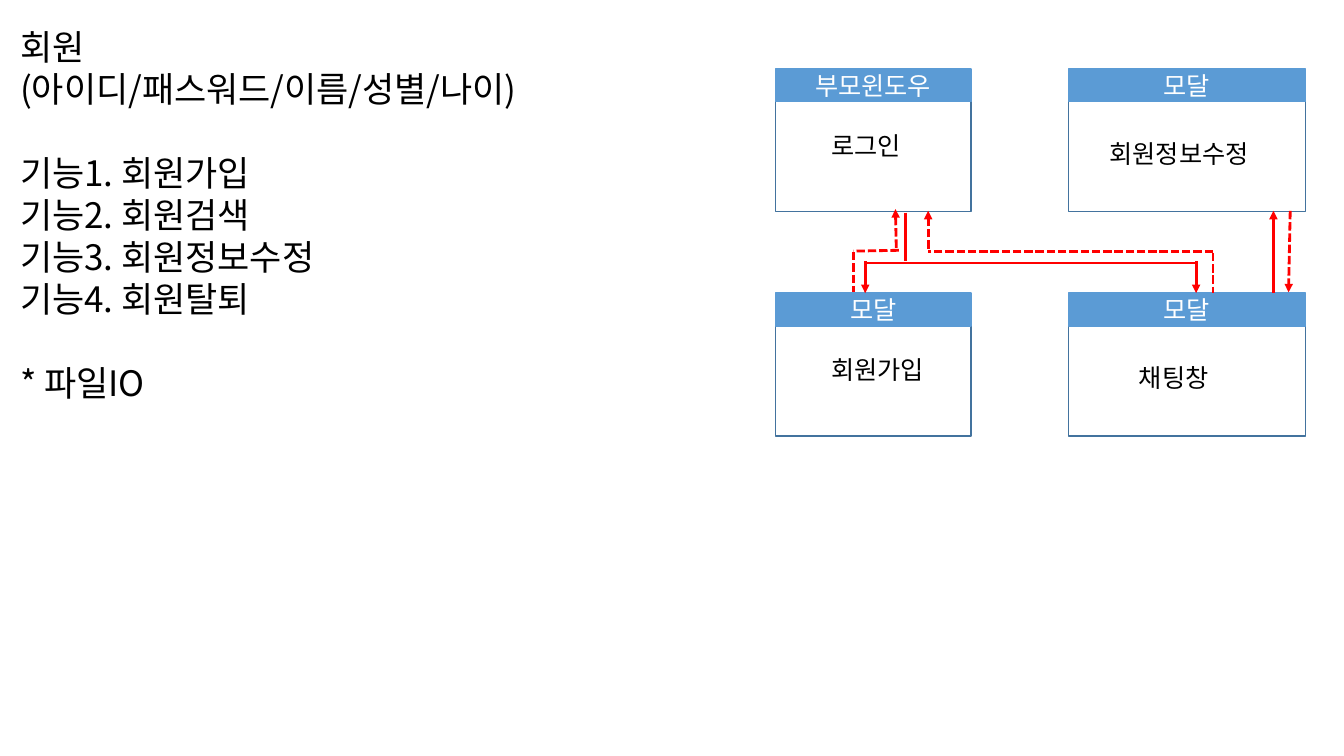
import dataclasses
import typing

import lxml.etree
import pptx
import pptx.dml.color
import pptx.enum.dml
import pptx.enum.shapes
import pptx.enum.text
import pptx.oxml.ns
import pptx.util

Point = tuple[float, float]
COLS, ROWS = 160, 90
HEAD, BODY = 3.9, 13.1
TOP, LOW = 8.2, 34.9


@dataclasses.dataclass(frozen=True)
class Theme:
    font: str = "Noto Sans CJK KR"
    ink: str = "000000"
    pale: str = "FFFFFF"
    head: str = "5B9BD5"
    edge: str = "43739E"
    flow: str = "FF0000"
    large: float = 25
    small: float = 18
    pitch: float = 1.2
    thin: float = 1
    thick: float = 2


@dataclasses.dataclass(frozen=True)
class Window:
    left: float
    top: float
    width: float
    title: str
    label: str
    shift: Point
    span: float


@dataclasses.dataclass(frozen=True)
class Flow:
    start: Point
    end: Point
    dash: bool = False
    arrow: bool = False


THEME = Theme()

LINES = [
    ("회원\v(아이디/패스워드/이름/성별/나이)", 0),
    ("기능1. 회원가입", 1),
    ("기능2. 회원검색", 0),
    ("기능3. 회원정보수정", 0),
    ("기능4. 회원탈퇴", 0),
    ("* 파일IO", 1),
]

WINDOWS = [
    Window(92.3, TOP, 23.3, "부모윈도우", "로그인", (5.5, 2.8), 11.5),
    Window(92.3, LOW, 23.3, "모달", "회원가입", (5.5, 2.8), 14.5),
    Window(127.2, TOP, 28.2, "모달", "회원정보수정", (3.7, 3.8), 20.6),
    Window(127.2, LOW, 28.2, "모달", "채팅창", (7.2, 3.8), 11.5),
]

FLOWS = [
    Flow((103, 31.1), (103, LOW), arrow=True),
    Flow((142.4, 31.3), (103, 31.3)),
    Flow((142.4, 31.1), (142.4, LOW), arrow=True),
    Flow((107.8, 25.3), (107.8, 31.1)),
    Flow((106.7, 29.5), (106.6, 24.9), dash=True, arrow=True),
    Flow((107, 29.8), (101.6, 29.9), dash=True),
    Flow((101.6, 30), (101.6, 34.8), dash=True),
    Flow((144.4, 30.1), (144.4, LOW), dash=True),
    Flow((144.4, 29.9), (110.5, 29.9), dash=True),
    Flow((110.5, 29.6), (110.5, 25.1), dash=True, arrow=True),
    Flow((151.6, LOW), (151.6, 25.1), arrow=True),
    Flow((153.6, 25.1), (153.4, 34.8), dash=True, arrow=True),
]

deck = pptx.Presentation()
deck.slide_width = pptx.util.Inches(13.33)
deck.slide_height = pptx.util.Inches(7.5)


def col(count: float) -> int:
    return round(deck.slide_width * count / COLS)


def row(count: float) -> int:
    return round(deck.slide_height * count / ROWS)


def hue(code: str) -> pptx.dml.color.RGBColor:
    return pptx.dml.color.RGBColor.from_string(code)


def add(node: typing.Any, tag: str, **attrs: str) -> None:
    lxml.etree.SubElement(node, pptx.oxml.ns.qn(tag), attrs)


def write(frame: typing.Any, lines: list[tuple[str, int]], *, size: float,
          color: str, center: bool = False, middle: bool = False,
          wrap: bool = False) -> None:
    align = pptx.enum.text.PP_ALIGN
    anchor = pptx.enum.text.MSO_ANCHOR
    frame.auto_size = pptx.enum.text.MSO_AUTO_SIZE.NONE
    frame.word_wrap = wrap
    frame.vertical_anchor = anchor.MIDDLE if middle else anchor.TOP
    pitch = size * THEME.pitch
    for index, (text, gap) in enumerate(lines):
        para = frame.paragraphs[0] if index == 0 else frame.add_paragraph()
        para.text = text
        para.alignment = align.CENTER if center else align.LEFT
        para.line_spacing = pptx.util.Pt(pitch)
        para.space_before = pptx.util.Pt(gap * pitch)
        para.font.size = pptx.util.Pt(size)
        for run in para.runs:
            run.font.size = pptx.util.Pt(size)
            run.font.color.rgb = hue(color)
            run.font.name = THEME.font
            add(run.font._element, "a:ea", typeface=THEME.font)


def draw_list(slide: typing.Any) -> None:
    slide.shapes.title.element.getparent().remove(slide.shapes.title.element)
    body = slide.placeholders[1]
    body.left, body.top = col(1.2), row(2.4)
    body.width, body.height = col(74.8), row(41.6)
    write(body.text_frame, LINES, size=THEME.large, color=THEME.ink)
    for para in body.text_frame.paragraphs:
        props = para._p.get_or_add_pPr()
        props.set("marL", "0")
        props.set("indent", "0")
        add(props, "a:buNone")


def draw_box(slide: typing.Any, left: float, top: float, width: float,
             height: float, edge: str, fill: str | None = None) -> typing.Any:
    box = slide.shapes.add_shape(
        pptx.enum.shapes.MSO_SHAPE.RECTANGLE,
        col(left), row(top), col(width), row(height))
    box.shadow.inherit = False
    box.line.color.rgb = hue(edge)
    box.line.width = pptx.util.Pt(THEME.thin)
    if fill:
        box.fill.solid()
        box.fill.fore_color.rgb = hue(fill)
    else:
        box.fill.background()
    return box


def draw_window(slide: typing.Any, win: Window) -> None:
    base = win.top + HEAD
    draw_box(slide, win.left, base, win.width, BODY, THEME.edge)
    head = draw_box(slide, win.left, win.top, win.width, HEAD,
                    THEME.head, THEME.head)
    write(head.text_frame, [(win.title, 0)], size=THEME.small,
          color=THEME.pale, center=True, middle=True, wrap=True)
    right, down = win.shift
    label = slide.shapes.add_textbox(
        col(win.left + right), row(base + down), col(win.span), row(4.8))
    write(label.text_frame, [(win.label, 0)], size=THEME.small,
          color=THEME.ink)


def draw_flow(slide: typing.Any, flow: Flow) -> None:
    line = slide.shapes.add_connector(
        pptx.enum.shapes.MSO_CONNECTOR.STRAIGHT,
        col(flow.start[0]), row(flow.start[1]),
        col(flow.end[0]), row(flow.end[1]))
    line.line.color.rgb = hue(THEME.flow)
    line.line.width = pptx.util.Pt(THEME.thick)
    if flow.dash:
        line.line.dash_style = pptx.enum.dml.MSO_LINE.SQUARE_DOT
    if flow.arrow:
        add(line.line._get_or_add_ln(), "a:tailEnd", type="triangle")
    add(line._element.spPr, "a:effectLst")


def main() -> None:
    slide = deck.slides.add_slide(deck.slide_layouts[1])
    draw_list(slide)
    for win in WINDOWS:
        draw_window(slide, win)
    for flow in FLOWS:
        draw_flow(slide, flow)
    deck.save("out.pptx")


if __name__ == "__main__":
    main()
